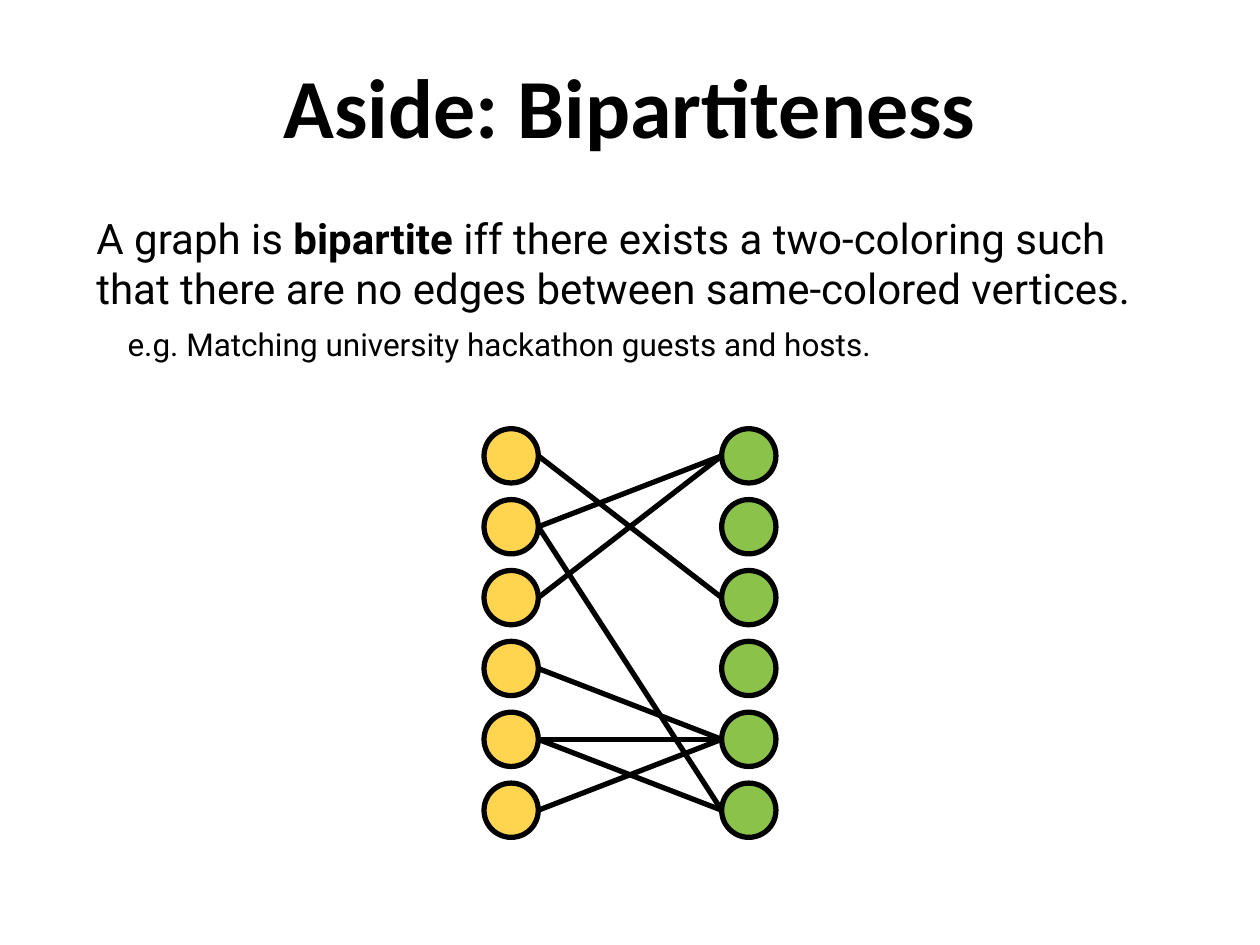
from pptx import Presentation
from pptx.dml.color import RGBColor
from pptx.enum.shapes import MSO_CONNECTOR, MSO_SHAPE
from pptx.enum.text import MSO_ANCHOR, PP_ALIGN
from pptx.util import Pt
from lxml import etree

OVAL = MSO_SHAPE.OVAL
STRAIGHT = MSO_CONNECTOR.STRAIGHT
TOP = MSO_ANCHOR.TOP
CENTER = PP_ALIGN.CENTER
DRAWING_NS = "http://schemas.openxmlformats.org/drawingml/2006/main"

COLORS = {"ink": "000000", "guest": "FFD54F", "host": "8BC34A"}
BLANK_LAYOUT = 6
INSET = 7.2
LINE_WIDTH = 3

VERTEX_COUNT = 6
VERTEX_SIZE = 31
VERTEX_PITCH = 40.5
FIRST_TOP = 245
GUEST_LEFT = 276.6
HOST_LEFT = 412.4
# (guest row, host row), counted from the top
EDGES = [(0, 2), (1, 0), (1, 5), (2, 0), (3, 4), (4, 5), (4, 4), (5, 4)]


def color(name):
    return RGBColor.from_string(COLORS[name])


def add_text_frame(slide, left, top, width, height):
    frame = slide.shapes.add_textbox(Pt(left), Pt(top), Pt(width), Pt(height)).text_frame
    frame.word_wrap = True
    frame.vertical_anchor = TOP
    frame.margin_left = frame.margin_right = Pt(INSET)
    frame.margin_top = frame.margin_bottom = Pt(INSET)
    return frame


def add_run(paragraph, text, font_name, size, bold=False):
    run = paragraph.add_run()
    run.text = text
    run.font.name = font_name
    run.font.size = Pt(size)
    run.font.bold = bold
    run.font.color.rgb = color("ink")


def add_title(slide):
    paragraph = add_text_frame(slide, 0, 24, 720, 90).paragraphs[0]
    paragraph.alignment = CENTER
    add_run(paragraph, "Aside: Bipartiteness", "Calibri", 48, bold=True)


def add_definition(slide):
    frame = add_text_frame(slide, 48, 114, 624, 426)
    definition = frame.paragraphs[0]
    add_run(definition, "A graph is ", "Roboto", 24)
    add_run(definition, "bipartite", "Roboto", 24, bold=True)
    add_run(
        definition,
        " iff there exists a two-coloring such that there are no edges "
        "between same-colored vertices.",
        "Roboto",
        24,
    )
    example = frame.add_paragraph()
    example.space_before = Pt(7)
    properties = example._p.get_or_add_pPr()
    properties.set("marL", str(Pt(17.8)))
    properties.set("indent", "0")
    add_run(example, "e.g. Matching university hackathon guests and hosts.", "Roboto", 18)


def style_line(line):
    line.color.rgb = color("ink")
    line.width = Pt(LINE_WIDTH)


def add_vertices(slide, left, fill_name):
    """Add one column of equally spaced vertices."""
    for row in range(VERTEX_COUNT):
        top = FIRST_TOP + row * VERTEX_PITCH
        vertex = slide.shapes.add_shape(
            OVAL, Pt(left), Pt(top), Pt(VERTEX_SIZE), Pt(VERTEX_SIZE)
        )
        vertex.shadow.inherit = False
        vertex.fill.solid()
        vertex.fill.fore_color.rgb = color(fill_name)
        style_line(vertex.line)


def row_center(row):
    return FIRST_TOP + row * VERTEX_PITCH + VERTEX_SIZE / 2


def add_edge(slide, guest_row, host_row):
    edge = slide.shapes.add_connector(
        STRAIGHT,
        Pt(GUEST_LEFT + VERTEX_SIZE),
        Pt(row_center(guest_row)),
        Pt(HOST_LEFT),
        Pt(row_center(host_row)),
    )
    style_line(edge.line)
    etree.SubElement(edge._element.spPr, f"{{{DRAWING_NS}}}effectLst")


def main():
    presentation = Presentation()
    presentation.slide_width = Pt(720)
    presentation.slide_height = Pt(540)
    slide = presentation.slides.add_slide(presentation.slide_layouts[BLANK_LAYOUT])
    add_title(slide)
    add_definition(slide)
    add_vertices(slide, GUEST_LEFT, "guest")
    add_vertices(slide, HOST_LEFT, "host")
    for guest_row, host_row in EDGES:
        add_edge(slide, guest_row, host_row)
    presentation.save("out.pptx")


if __name__ == "__main__":
    main()
